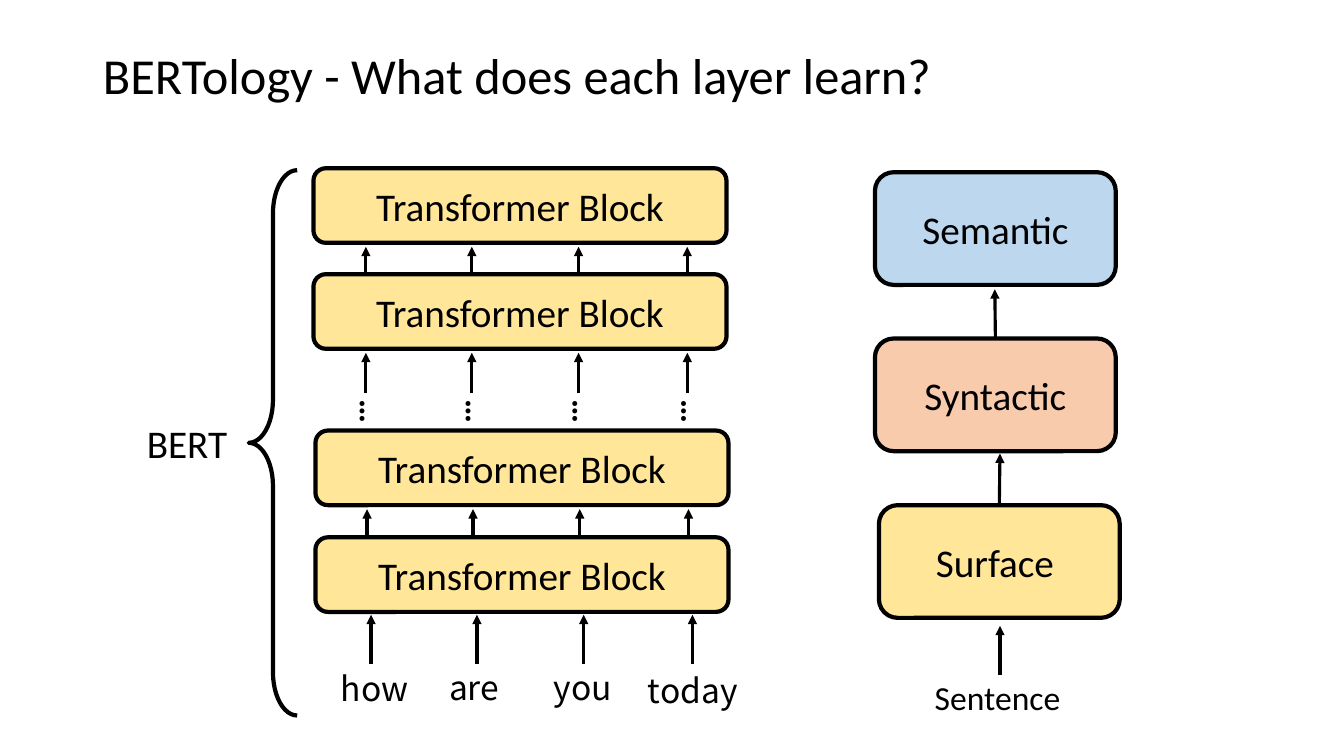
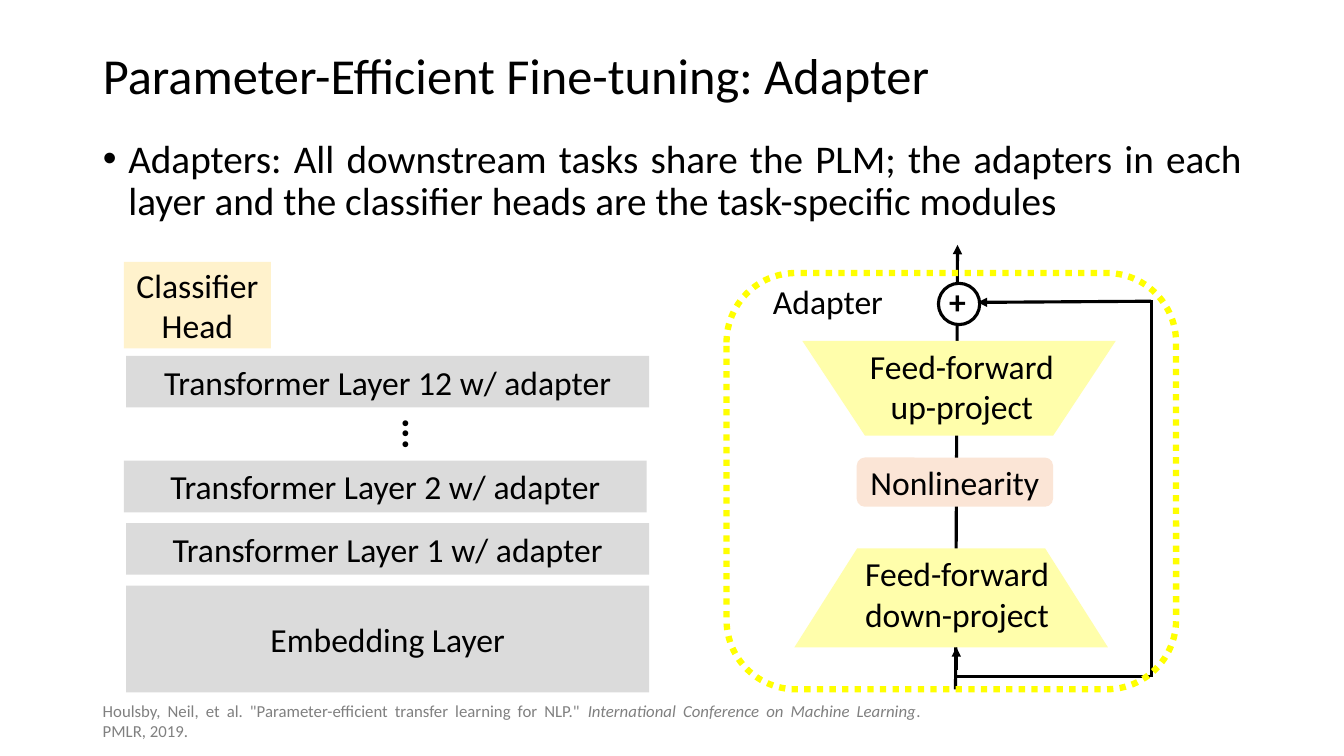
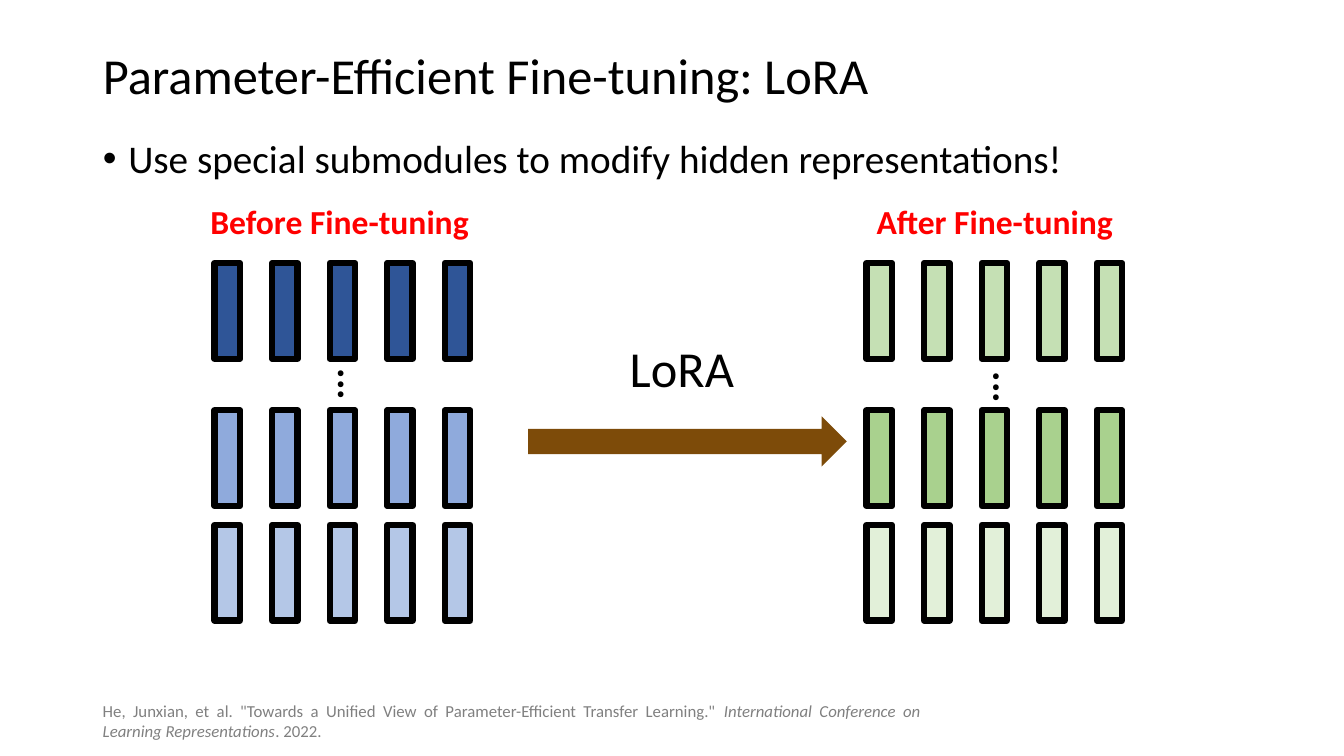
"""Build three slides on BERT layers, adapters and LoRA."""
import lxml.etree
import pptx
import pptx.dml.color
import pptx.enum.dml
import pptx.enum.shapes
import pptx.enum.text
import pptx.oxml.ns
import pptx.util

Cm = pptx.util.Cm
Pt = pptx.util.Pt
SHAPE = pptx.enum.shapes.MSO_SHAPE
ALIGN = pptx.enum.text.PP_ALIGN
ANCHOR = pptx.enum.text.MSO_ANCHOR
AUTO_SIZE = pptx.enum.text.MSO_AUTO_SIZE
qn = pptx.oxml.ns.qn

COLORS = {
    "black": "000000", "white": "FFFFFF", "red": "FF0000", "citation": "808080",
    "block": "FFE699", "syntactic": "F8CBAD", "semantic": "BDD7EE",
    "layer": "DBDBDB", "head": "FFF2CC", "projection": "FFFEAB",
    "nonlinearity": "FBE5D6", "adapter": "FFFF00", "arrow": "7D4B09",
    "blue_top": "2F5597", "blue_middle": "8FAADC", "blue_bottom": "B4C7E7",
    "green_top": "C5E0B4", "green_middle": "A9D18E", "green_bottom": "E2F0D9",
}
FONT = "Calibri"
WORD_FONT = "Noto Sans CJK SC"
TITLE_BOX = (2.34, 1.02, 29.21, 1.91)
BODY_BOX = (2.34, 3.38, 29.21, 13.77)
CITATION_BOX = (2.34, 17.65, 21.11, 1.02)
BULLET_INDENT = 0.64

BERT_TITLE = "BERTology - What does each layer learn?"
BLOCKS = [(7.9, 4.24), (7.9, 6.91), (7.95, 10.85), (7.95, 13.54)]
TOKEN_COLUMNS = [9.22, 11.89, 14.58, 17.32]
ARROW_ROWS = [(0, 8.26, 6.22), (0, 9.91, 8.89), (0.03, 14.83, 12.83), (0.13, 16.74, 15.49)]
WORDS = [("how", 7.98, 16.71), ("are", 10.49, 16.69), ("you", 13.23, 16.69), ("today", 16, 16.76)]
LEVELS = [
    ("Semantic", "semantic", 22.05, 4.34),
    ("Syntactic", "syntactic", 22.05, 8.53),
    ("Surface ", "block", 22.15, 12.73),
]
LEVEL_ARROWS = [(1, 25.07, 7.29), (2, 25.2, 11.43)]

ADAPTER_TITLE = "Parameter-Efficient Fine-tuning: Adapter"
ADAPTER_BODY = (
    "Adapters: All downstream tasks share the PLM; the adapters in each layer "
    "and the classifier heads are the task-specific modules"
)
ADAPTER_CITATION = (
    'Houlsby, Neil, et al. "Parameter-efficient transfer learning for NLP." ',
    "International Conference on Machine Learning",
    ". PMLR, 2019.",
)
LAYERS = [
    ("Classifier Head", "head", (3.12, 6.6, 3.71, 2.18)),
    ("Transformer Layer 12 w/ adapter", "layer", (3.18, 8.97, 13.18, 1.3)),
    ("Transformer Layer 2 w/ adapter", "layer", (3.12, 11.61, 13.18, 1.3)),
    ("Transformer Layer 1 w/ adapter", "layer", (3.18, 13.18, 13.18, 1.3)),
    ("Embedding Layer", "layer", (3.18, 14.76, 13.18, 2.69)),
]
PROJECTIONS = [
    ("down-project", (20.02, 13.82, 7.9, 2.49), 180, 20.17),
    ("up-project", (20.22, 8.59, 7.9, 2.39), 0, 20.29),
]
BYPASS = [
    ((24.1, 16.89), (24.1, 16.31), True),
    ((29.01, 7.57), (29.01, 17.07), False),
    ((29.01, 7.59), (24.64, 7.62), True),
    ((24.05, 17.04), (28.98, 17.04), False),
]

LORA_TITLE = "Parameter-Efficient Fine-tuning: LoRA"
LORA_BODY = "Use special submodules to modify hidden representations!"
LORA_CITATION = (
    'He, Junxian, et al. "Towards a Unified View of Parameter-Efficient Transfer Learning." ',
    "International Conference on Learning Representations",
    ". 2022.",
)
STATES = [
    ("Before Fine-tuning", "blue", 5.05, 5.41, (8.26, 8.97)),
    ("After Fine-tuning", "green", 21.84, 21.84, (24.77, 9.04)),
]
BAR_ROWS = [("top", 6.63), ("middle", 10.34), ("bottom", 13.23)]
BAR_COUNT, BAR_PITCH, BAR_WIDTH, BAR_HEIGHT = 5, 1.45, 0.64, 2.41


def rgb(name):
    return pptx.dml.color.RGBColor.from_string(COLORS[name])


def lengths(values):
    return [Cm(value) for value in values]


def add_run(paragraph, text, size, color="black", bold=False, italic=False, font=FONT):
    run = paragraph.add_run()
    run.text = text
    run.font.name = font
    run.font.size = Pt(size)
    run.font.bold = bold
    run.font.italic = italic
    run.font.color.rgb = rgb(color)


def add_text(slide, box, lines, size, align=ALIGN.LEFT, rotation=0, **style):
    shape = slide.shapes.add_textbox(*lengths(box))
    shape.rotation = rotation
    frame = shape.text_frame
    frame.word_wrap = True
    frame.auto_size = AUTO_SIZE.SHAPE_TO_FIT_TEXT
    for index, line in enumerate(lines):
        paragraph = frame.add_paragraph() if index else frame.paragraphs[0]
        paragraph.alignment = align
        add_run(paragraph, line, size, **style)


def add_box(slide, kind, box, fill=None, line=None, width=3, text=None, size=24):
    shape = slide.shapes.add_shape(kind, *lengths(box))
    shape.shadow.inherit = False
    if fill:
        shape.fill.solid()
        shape.fill.fore_color.rgb = rgb(fill)
    else:
        shape.fill.background()
    if line:
        shape.line.color.rgb = rgb(line)
        shape.line.width = Pt(width)
    else:
        shape.line.fill.background()
    if text:
        paragraph = shape.text_frame.paragraphs[0]
        paragraph.alignment = ALIGN.CENTER
        add_run(paragraph, text, size)
    return shape


def add_line(slide, start, end, arrow=True):
    connector = slide.shapes.add_connector(
        pptx.enum.shapes.MSO_CONNECTOR.STRAIGHT, *lengths((*start, *end)))
    connector.line.color.rgb = rgb("black")
    connector.line.width = Pt(2.25)
    properties = connector._element.spPr
    if arrow:
        outline = properties.find(qn("a:ln"))
        lxml.etree.SubElement(outline, qn("a:tailEnd"), type="triangle")
    lxml.etree.SubElement(properties, qn("a:effectLst"))
    return connector


def place(placeholder, box):
    placeholder.left, placeholder.top, placeholder.width, placeholder.height = lengths(box)
    frame = placeholder.text_frame
    frame.word_wrap = True
    frame.auto_size = AUTO_SIZE.NONE
    paragraph = frame.paragraphs[0]
    paragraph.line_spacing = 0.9
    paragraph.space_before = Pt(0)
    return frame, paragraph


def add_slide(presentation, title, body=None, citation=None):
    slide = presentation.slides.add_slide(presentation.slide_layouts[1 if body else 5])
    frame, paragraph = place(slide.shapes.title, TITLE_BOX)
    frame.vertical_anchor = ANCHOR.MIDDLE
    paragraph.alignment = ALIGN.LEFT
    add_run(paragraph, title, 36)
    if body:
        frame, paragraph = place(slide.placeholders[1], BODY_BOX)
        frame.vertical_anchor = ANCHOR.TOP
        paragraph.alignment = ALIGN.JUSTIFY
        properties = paragraph._p.get_or_add_pPr()
        properties.set("marL", str(Cm(BULLET_INDENT)))
        properties.set("indent", str(-Cm(BULLET_INDENT)))
        lxml.etree.SubElement(properties, qn("a:buFont"), typeface="Arial")
        lxml.etree.SubElement(properties, qn("a:buChar"), char="•")
        add_run(paragraph, body, 28)
    if citation:
        frame = slide.shapes.add_textbox(*lengths(CITATION_BOX)).text_frame
        frame.word_wrap = True
        frame.vertical_anchor = ANCHOR.MIDDLE
        paragraph = frame.paragraphs[0]
        paragraph.alignment = ALIGN.JUSTIFY
        for index, part in enumerate(citation):
            add_run(paragraph, part, 12, "citation", italic=index == 1)
    return slide


def build_bert(presentation):
    slide = add_slide(presentation, BERT_TITLE)
    for shift, start, end in ARROW_ROWS:
        for column in TOKEN_COLUMNS:
            add_line(slide, (column + shift, start), (column + shift, end))
    for left, top in BLOCKS:
        add_box(slide, SHAPE.ROUNDED_RECTANGLE, (left, top, 10.41, 1.88),
                "block", "black", text="Transformer Block", size=28)
    for column in TOKEN_COLUMNS:
        add_text(slide, (column - 0.64, 10.01, 1.65, 1.27), ["…"], 24, rotation=90, bold=True)
    for word, left, top in WORDS:
        add_text(slide, (left, top, 2.92, 1.27), [word], 24, ALIGN.CENTER, font=WORD_FONT)
    brace = add_box(slide, SHAPE.LEFT_BRACE, (6.27, 4.29, 1.22, 13.74), line="black")
    brace.adjustments[0] = 0.89
    brace.adjustments[1] = 0.5
    add_text(slide, (3.45, 10.44, 3.84, 1.45), ["BERT"], 28)

    levels = [
        add_box(slide, SHAPE.ROUNDED_RECTANGLE, (left, top, 6.07, 2.84),
                fill, "black", text=name, size=28)
        for name, fill, left, top in LEVELS
    ]
    for index, column, end in LEVEL_ARROWS:
        arrow = add_line(slide, (column, LEVELS[index][3]), (column, end))
        arrow.begin_connect(levels[index], 0)
    add_line(slide, (25.2, 17.02), (25.2, 15.77))
    add_text(slide, (19.99, 16.94, 10.49, 1.27), ["Sentence "], 24, ALIGN.CENTER)


def build_adapter(presentation):
    slide = add_slide(presentation, ADAPTER_TITLE, ADAPTER_BODY, ADAPTER_CITATION)
    add_line(slide, (24.08, 17.37), (24.13, 6.17))
    for name, box, rotation, text_left in PROJECTIONS:
        add_box(slide, SHAPE.FLOWCHART_MANUAL_OPERATION, box, "projection").rotation = rotation
        add_text(slide, (text_left, box[1], box[2], 1.73),
                 ["Feed-forward", name], 24, ALIGN.CENTER)
    add_box(slide, SHAPE.ROUNDED_RECTANGLE, (21.59, 11.53, 4.95, 1.24),
            "nonlinearity", text="Nonlinearity")
    add_box(slide, SHAPE.OVAL, (23.65, 7.14, 1.04, 1.04), "white", "black", 2.25)
    add_text(slide, (23.67, 6.96, 1.75, 1.27), ["+"], 24, bold=True)
    for start, end, arrow in BYPASS:
        add_line(slide, start, end, arrow)
    outline = add_box(slide, SHAPE.ROUNDED_RECTANGLE, (18.31, 6.88, 11.33, 10.49),
                      line="adapter", width=4.5)
    outline.line.dash_style = pptx.enum.dml.MSO_LINE.ROUND_DOT
    add_text(slide, (19.23, 6.96, 3.63, 0.97), ["Adapter"], 24)
    for name, fill, box in LAYERS:
        add_box(slide, SHAPE.RECTANGLE, box, fill, text=name)
    add_text(slide, (9.42, 9.75, 1.3, 2.39), ["..."], 28, rotation=90, bold=True)


def build_lora(presentation):
    slide = add_slide(presentation, LORA_TITLE, LORA_BODY, LORA_CITATION)
    for label, hue, label_left, bars_left, dots in STATES:
        add_text(slide, (label_left, 4.93, 7.16, 1.27), [label], 24, color="red", bold=True)
        for row, top in BAR_ROWS:
            for index in range(BAR_COUNT):
                left = bars_left + index * BAR_PITCH
                add_box(slide, SHAPE.RECTANGLE, (left, top, BAR_WIDTH, BAR_HEIGHT),
                        f"{hue}_{row}", "black", 4.5)
        add_text(slide, (*dots, 1.3, 1.45), ["..."], 28, rotation=90, bold=True)
    add_box(slide, SHAPE.RIGHT_ARROW, (13.31, 10.49, 8.03, 1.27), "arrow")
    add_text(slide, (14.15, 8.36, 6.07, 1.8), ["LoRA"], 36, ALIGN.CENTER)


def main():
    presentation = pptx.Presentation()
    presentation.slide_width = Cm(33.87)
    presentation.slide_height = Cm(19.05)
    build_bert(presentation)
    build_adapter(presentation)
    build_lora(presentation)
    presentation.save("out.pptx")


if __name__ == "__main__":
    main()
